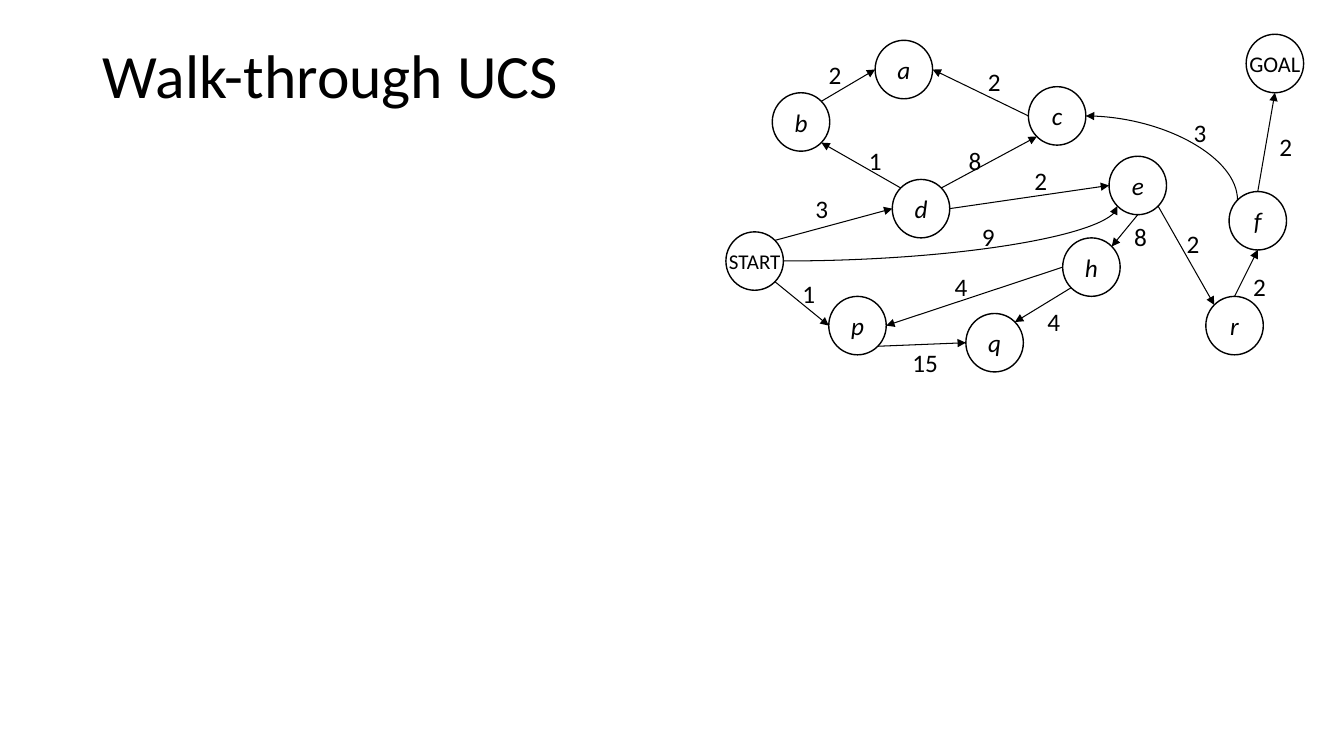
from lxml.etree import SubElement
from math import cos, radians, sin
from pptx import Presentation
from pptx.dml.color import RGBColor
from pptx.enum.shapes import MSO_CONNECTOR, MSO_SHAPE
from pptx.enum.text import MSO_ANCHOR, PP_ALIGN
from pptx.oxml.ns import qn
from pptx.util import Emu, Pt

TITLE = "Walk-through UCS"
NODES = {
    "START": (720, 230, 15), "GOAL": (1236, 34, 16),
    "d": (885, 178, 18), "b": (766, 92, 18), "p": (822, 294, 18),
    "q": (958, 311, 18), "c": (1020, 86, 18), "e": (1100, 155, 18),
    "h": (1054, 236, 18), "a": (868, 40, 18), "f": (1219, 190, 18),
    "r": (1196, 294, 18),
}
STRAIGHT = [
    ("START", "SE", "p", "W"), ("p", "SE", "q", "W"),
    ("h", "SW", "q", "NE"), ("h", "W", "p", "E"),
    ("e", "S", "h", "NE"), ("e", "SE", "r", "NW"),
    ("r", "N", "f", "S"), ("f", "N", "GOAL", "S"),
    ("START", "NE", "d", "W"), ("d", "NW", "b", "SE"),
    ("b", "NE", "a", "W"), ("c", "W", "a", "E"),
    ("d", "NE", "c", "SW"), ("d", "E", "e", "W"),
]
CURVED = [("c", "E", "f", "NW", "headEnd"), ("START", "E", "e", "SW", "tailEnd")]
COSTS = [
    ("2", 812, 54), ("9", 964, 215), ("2", 1167, 222), ("8", 951, 139),
    ("1", 852, 139), ("8", 1115, 215), ("2", 970, 61), ("3", 799, 187),
    ("2", 1233, 264), ("4", 1029, 299), ("4", 937, 264), ("15", 895, 340),
    ("1", 786, 271), ("3", 1174, 111), ("2", 1259, 125), ("2", 1016, 159),
]
COST_SIZE = {1: (26, 32), 2: (55, 40)}
COMPASS = ["E", "SE", "S", "SW", "W", "NW", "N", "NE"]
NODE_W, NODE_H = 57, 58
BLACK = RGBColor(0, 0, 0)
FONT = "Calibri"


def px(n):
    return Emu(round(n * 9144))


def write(p, text, size, italic=False):
    r = p.add_run()
    r.text = text
    r.font.name, r.font.size, r.font.italic = FONT, Pt(size), italic
    r.font.color.rgb = BLACK


def port(name, side):
    x, y, _ = NODES[name]
    angle = radians(45 * COMPASS.index(side))
    return (px(x + NODE_W / 2 * (1 + cos(angle))),
            px(y + NODE_H / 2 * (1 + sin(angle))))


def add_edge(shapes, start, start_side, end, end_side, arrow="tailEnd", curved=False):
    kind = MSO_CONNECTOR.CURVE if curved else MSO_CONNECTOR.STRAIGHT
    cx = shapes.add_connector(kind, *port(start, start_side), *port(end, end_side))
    cx.line.color.rgb = BLACK
    cx.line.width = Pt(0.75)
    SubElement(cx.get_or_add_ln(), qn("a:" + arrow), type="triangle")
    spPr = cx.element.spPr
    SubElement(spPr, qn("a:effectLst"))
    if curved:
        spPr.find(qn("a:prstGeom")).set("prst", "curvedConnector2")


def add_node(shapes, name, x, y, size):
    sp = shapes.add_shape(MSO_SHAPE.FLOWCHART_CONNECTOR, px(x), px(y), px(NODE_W), px(NODE_H))
    sp.shadow.inherit = False
    sp.fill.background()
    sp.line.color.rgb = BLACK
    sp.line.width = Pt(1)
    tf = sp.text_frame
    tf.word_wrap = False
    tf.vertical_anchor = MSO_ANCHOR.MIDDLE
    tf.margin_left = tf.margin_right = tf.margin_top = tf.margin_bottom = 0
    p = tf.paragraphs[0]
    p.alignment = PP_ALIGN.CENTER
    write(p, name, size, italic=len(name) == 1)


def add_cost(shapes, text, x, y):
    w, h = COST_SIZE[len(text)]
    tf = shapes.add_textbox(px(x), px(y), px(w), px(h)).text_frame
    tf.word_wrap = True
    write(tf.paragraphs[0], text, 18)


def main():
    prs = Presentation()
    prs.slide_width, prs.slide_height = px(1333), px(750)
    s = prs.slides.add_slide(prs.slide_layouts[5])

    title = s.shapes.title
    title.left, title.top, title.width, title.height = px(92), px(40), px(1150), px(145)
    tf = title.text_frame
    tf.vertical_anchor = MSO_ANCHOR.TOP
    p = tf.paragraphs[0]
    p.alignment = PP_ALIGN.LEFT
    p.line_spacing = 0.9
    write(p, TITLE, 44)

    graph = s.shapes.add_group_shape().shapes
    for name, place in NODES.items():
        add_node(graph, name, *place)
    for edge in STRAIGHT:
        add_edge(graph, *edge)
    for edge in CURVED:
        add_edge(graph, *edge, curved=True)
    for cost in COSTS:
        add_cost(graph, *cost)

    prs.save("out.pptx")


if __name__ == "__main__":
    main()
